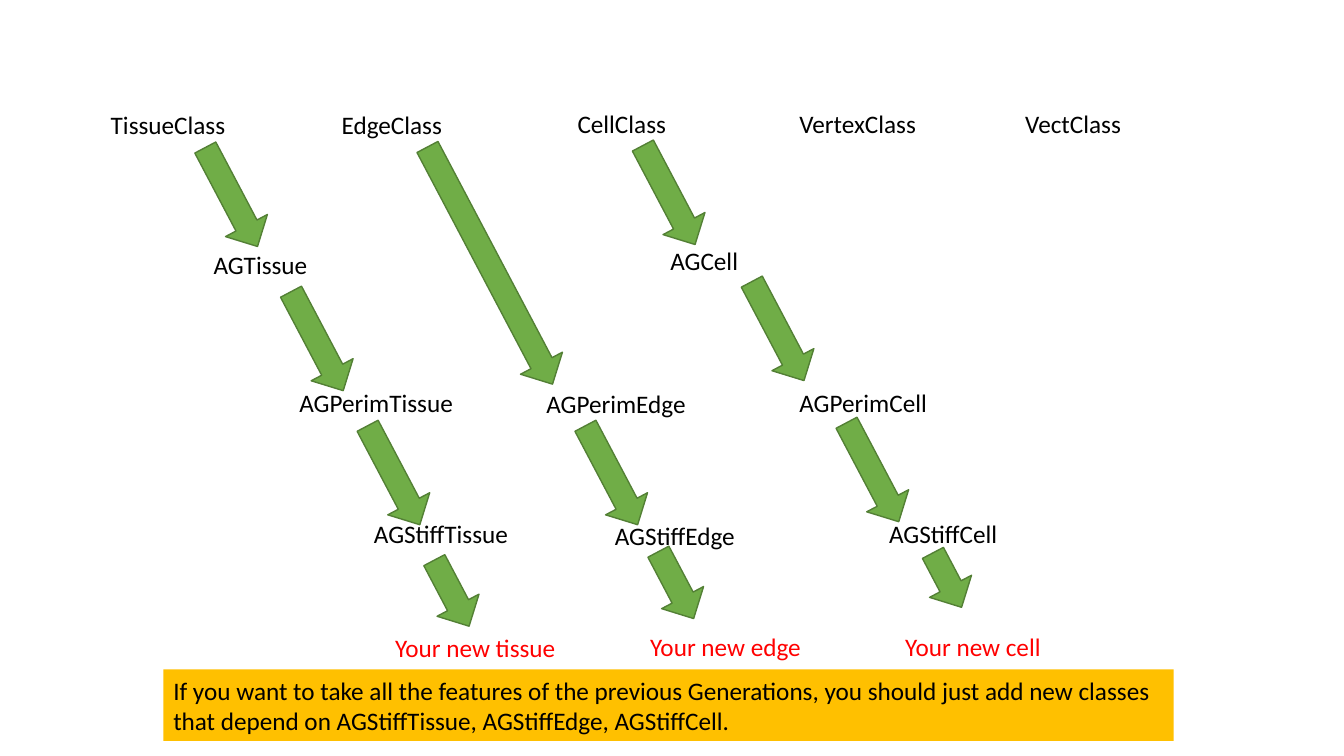
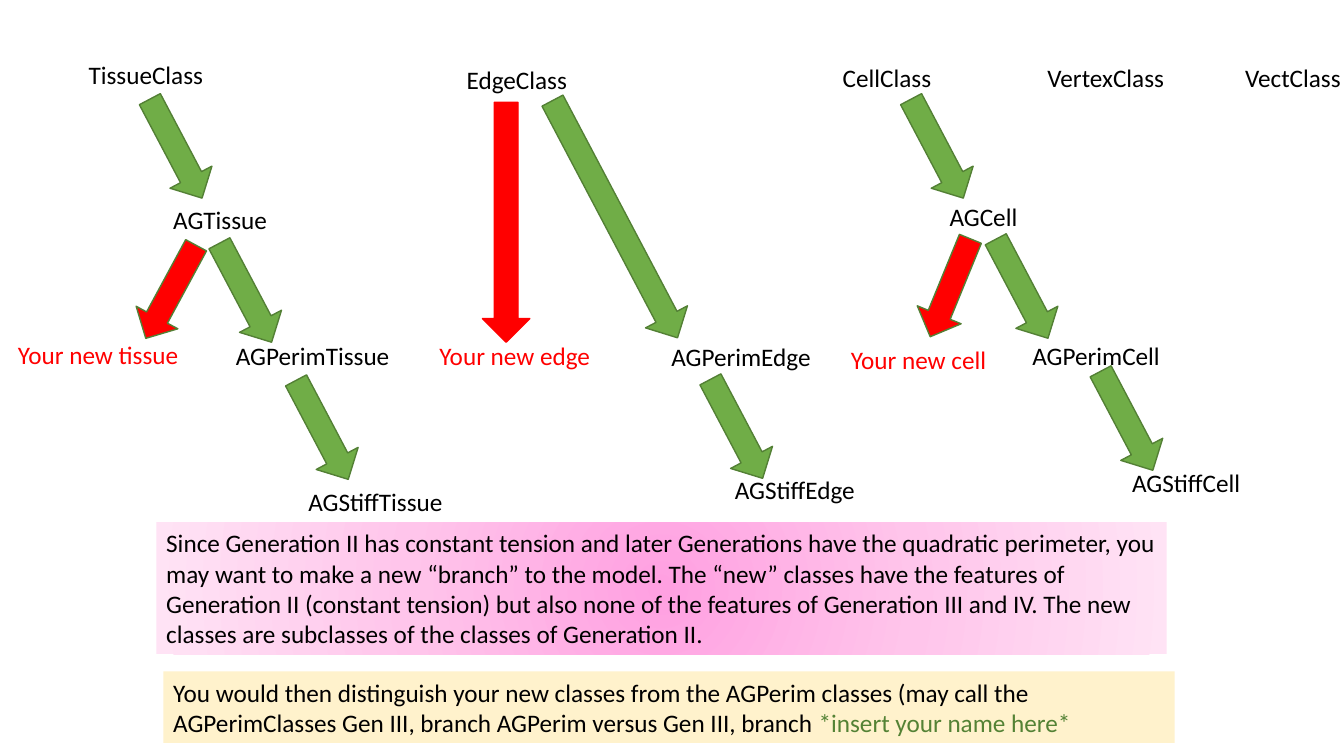
from pptx import Presentation
from pptx.dml.color import RGBColor
from pptx.enum.shapes import MSO_SHAPE
from pptx.oxml import parse_xml
from pptx.util import Emu, Pt

RECTANGLE = MSO_SHAPE.RECTANGLE
RIGHT_ARROW = MSO_SHAPE.RIGHT_ARROW

BLACK = RGBColor(0x00, 0x00, 0x00)
RED = RGBColor(0xFF, 0x00, 0x00)
GREEN = RGBColor(0x70, 0xAD, 0x47)
GREEN_EDGE = RGBColor(0x53, 0x80, 0x35)
GREEN_TEXT = RGBColor(0x54, 0x82, 0x35)
GOLD = RGBColor(0xFF, 0xC0, 0x00)
CREAM = RGBColor(0xFF, 0xF2, 0xCC)
PINK_GLOW = (
    (0, RGBColor(0xFF, 0xA0, 0xE1)),
    (50, RGBColor(0xFF, 0xC5, 0xEB)),
    (100, RGBColor(0xFF, 0xE3, 0xF5)),
)

FONT = "Calibri"
PX = 9144
SLIDE_SIZE = (1333, 750)
LABEL_HEIGHT = 40
ARROW_HEIGHT = 47
INSET = 10
DOWN_RIGHT = 62.2
DRAWING_NS = "http://schemas.openxmlformats.org/drawingml/2006/main"

SLIDES = [
    {
        "classes": [
            ("TissueClass", 100, 104, 237),
            ("EdgeClass", 329, 104, 142),
            ("CellClass", 563, 103, 116),
            ("VertexClass", 783, 103, 141),
            ("VectClass", 1007, 103, 168),
            ("AGTissue", 202, 242, 123),
            ("AGCell", 655, 238, 117),
            ("AGPerimTissue", 287, 379, 175),
            ("AGPerimEdge", 532, 380, 160),
            ("AGPerimCell", 783, 379, 161),
            ("AGStiffTissue", 361, 509, 171),
            ("AGStiffEdge", 600, 511, 142),
            ("AGStiffCell", 872, 509, 160),
        ],
        "new_classes": [
            ("Your new tissue", 382, 622, 209),
            ("Your new edge", 635, 621, 174),
            ("Your new cell", 888, 621, 174),
        ],
        "inheritance": [
            (174, 172, 111),
            (259, 315, 111),
            (335, 448, 111),
            (411, 565, 74),
            (353, 240, 266),
            (551, 448, 111),
            (633, 557, 75),
            (608, 170, 111),
            (716, 305, 111),
            (810, 445, 111),
            (909, 552, 61),
        ],
        "branches": [],
        "notes": [
            ((162, 664, 1002, 71), GOLD, [
                ("If you want to take all the features of the previous Generations, "
                 "you should just add new classes that depend on AGStiffTissue, "
                 "AGStiffEdge, AGStiffCell.", BLACK),
            ]),
        ],
    },
    {
        "classes": [
            ("TissueClass", 78, 54, 237),
            ("EdgeClass", 453, 59, 142),
            ("CellClass", 826, 57, 116),
            ("VertexClass", 1029, 57, 141),
            ("VectClass", 1225, 57, 108),
            ("AGTissue", 162, 198, 123),
            ("AGCell", 932, 195, 117),
            ("AGPerimTissue", 224, 333, 175),
            ("AGPerimEdge", 656, 334, 160),
            ("AGPerimCell", 1014, 333, 161),
            ("AGStiffTissue", 296, 478, 171),
            ("AGStiffEdge", 719, 466, 142),
            ("AGStiffCell", 1113, 459, 160),
        ],
        "new_classes": [
            ("Your new tissue", 8, 332, 209),
            ("Your new edge", 426, 333, 174),
            ("Your new cell", 834, 337, 174),
        ],
        "inheritance": [
            (119, 124, 111),
            (188, 267, 111),
            (264, 403, 111),
            (477, 194, 266),
            (675, 402, 111),
            (874, 124, 111),
            (958, 263, 111),
            (1062, 394, 111),
        ],
        "branches": [
            (117, 266, 105, 118.4, GREEN_EDGE),
            (383, 197, 238, 90, RED),
            (890, 262, 105, 112.3, GREEN_EDGE),
        ],
        "notes": [
            ((155, 518, 1002, 131), PINK_GLOW, [
                ("Since Generation II has constant tension and later Generations have "
                 "the quadratic perimeter, you may want to make a new “branch” to the "
                 "model. The “new” classes have the features of Generation II (constant "
                 "tension) but also none of the features of Generation III and IV. The "
                 "new classes are subclasses of the classes of Generation II.", BLACK),
            ]),
            ((162, 666, 1003, 71), CREAM, [
                ("You would then distinguish your new classes from the AGPerim classes "
                 "(may call the AGPerimClasses Gen III, branch AGPerim versus Gen III, "
                 "branch ", BLACK),
                ("*insert your name here*", GREEN_TEXT),
            ]),
        ],
    },
]


def px(*lengths):
    return [Emu(length * PX) for length in lengths]


def write_text(slide, box, runs, fill=None, right_inset=INSET):
    if fill is None:
        holder = slide.shapes.add_textbox(*px(*box))
    else:
        holder = slide.shapes.add_shape(RECTANGLE, *px(*box))
        holder.shadow.inherit = False
        holder.line.fill.background()
        paint(holder, fill)
    frame = holder.text_frame
    frame.word_wrap = True
    frame.margin_left, frame.margin_right = px(INSET, right_inset)
    frame.margin_top, frame.margin_bottom = px(5, 5)
    paragraph = frame.paragraphs[0]
    paragraph.alignment = 1
    for text, color in runs:
        run = paragraph.add_run()
        run.text = text
        run.font.name = FONT
        run.font.size = Pt(18)
        run.font.color.rgb = color


def paint(shape, fill):
    if isinstance(fill, RGBColor):
        shape.fill.solid()
        shape.fill.fore_color.rgb = fill
        return
    stops = "".join(
        f'<a:gs pos="{position * 1000}"><a:srgbClr val="{color}"/></a:gs>'
        for position, color in fill
    )
    glow = parse_xml(
        f'<a:gradFill xmlns:a="{DRAWING_NS}" rotWithShape="1"><a:gsLst>{stops}</a:gsLst>'
        '<a:path path="circle"><a:fillToRect l="50000" t="50000" r="50000" b="50000"/>'
        '</a:path></a:gradFill>'
    )
    shape.fill.background()
    properties = shape.element.spPr
    properties.replace(properties.find(f"{{{DRAWING_NS}}}noFill"), glow)


def draw_arrow(slide, left, top, length, angle=DOWN_RIGHT, edge=GREEN_EDGE, fill=GREEN):
    arrow = slide.shapes.add_shape(RIGHT_ARROW, *px(left, top, length, ARROW_HEIGHT))
    arrow.shadow.inherit = False
    arrow.rotation = angle
    paint(arrow, fill)
    arrow.line.color.rgb = edge
    arrow.line.width = Pt(1)


def build_slide(deck, content):
    slide = deck.slides.add_slide(deck.slide_layouts[6])
    for group, color in (("classes", BLACK), ("new_classes", RED)):
        for name, left, top, width in content[group]:
            write_text(slide, (left, top, width, LABEL_HEIGHT), [(name, color)], right_inset=0)
    for arrow in content["inheritance"]:
        draw_arrow(slide, *arrow)
    for branch in content["branches"]:
        draw_arrow(slide, *branch, fill=RED)
    for box, fill, runs in content["notes"]:
        write_text(slide, box, runs, fill=fill)


def main():
    deck = Presentation()
    deck.slide_width, deck.slide_height = px(*SLIDE_SIZE)
    for content in SLIDES:
        build_slide(deck, content)
    deck.save("out.pptx")


if __name__ == "__main__":
    main()
